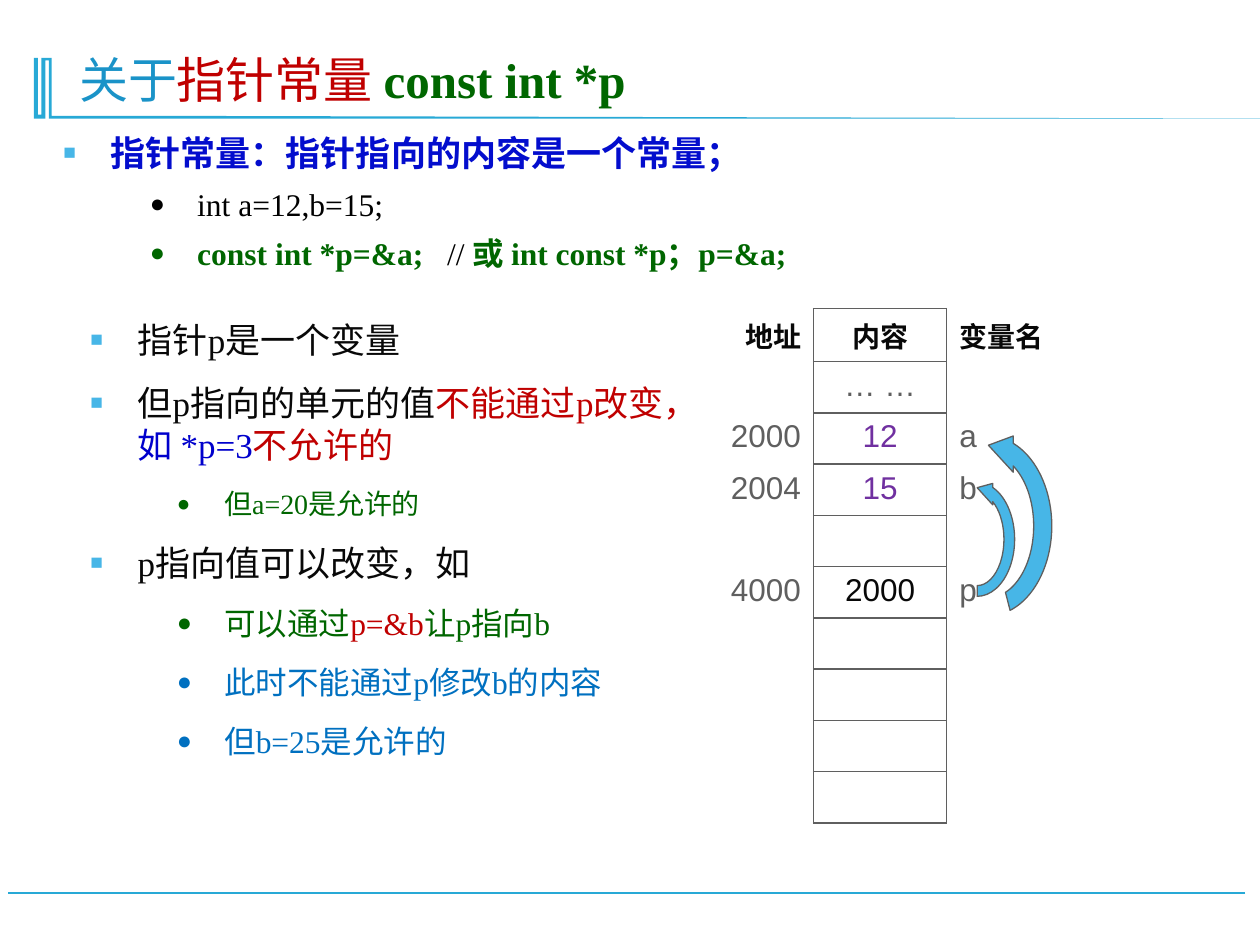
from lxml import etree
from pptx import Presentation
from pptx.dml.color import RGBColor
from pptx.enum.shapes import MSO_CONNECTOR, MSO_SHAPE
from pptx.enum.text import MSO_ANCHOR, MSO_AUTO_SIZE, PP_ALIGN
from pptx.oxml.ns import qn
from pptx.util import Pt

LEFT, CENTER, RIGHT = PP_ALIGN.LEFT, PP_ALIGN.CENTER, PP_ALIGN.RIGHT
TOP, BOTTOM = MSO_ANCHOR.TOP, MSO_ANCHOR.BOTTOM
NO_AUTOFIT = MSO_AUTO_SIZE.NONE
STRAIGHT = MSO_CONNECTOR.STRAIGHT
CIRCULAR_ARROW = MSO_SHAPE.CIRCULAR_ARROW

COLORS = {
    "rule": "28A9D6", "title": "1A93C8", "sky": "47B6E7", "red": "C00000",
    "green": "006600", "royal": "030DCD", "navy": "0000CC", "blue": "0070C0",
    "purple": "7030A0", "grey": "5F5F5F", "ink": "080808", "black": "000000",
}
SERIF, SANS = "Times New Roman", "Arial"
# Bullet by level: left margin, character, size in percent, colour
BULLETS = [(27, "■", 60, "sky"), (76.5, "●", 80, None)]
HANGING = 27


def rgb(name):
    return RGBColor.from_string(COLORS[name])


def sub(parent, tag, **attributes):
    return etree.SubElement(parent, qn(tag), attributes)


def place(shape, box):
    for side, value in zip(("left", "top", "width", "height"), box):
        setattr(shape, side, Pt(value))


def prepare(frame, anchor):
    for name, value in {"word_wrap": True, "auto_size": NO_AUTOFIT,
                        "vertical_anchor": anchor}.items():
        setattr(frame, name, value)


def add_runs(paragraph, runs, size, font=SERIF):
    for text, color, bold in runs:
        run = paragraph.add_run()
        run.text = text
        for name, value in {"name": font, "size": Pt(size), "bold": bold}.items():
            setattr(run.font, name, value)
        run.font.color.rgb = rgb(color)


def add_bullet(paragraph, level):
    margin, char, percent, color = BULLETS[level]
    paragraph.level = level
    props = paragraph._p.get_or_add_pPr()
    props.set("marL", str(Pt(margin)))
    props.set("indent", str(-Pt(HANGING)))
    if color:
        sub(sub(props, "a:buClr"), "a:srgbClr", val=COLORS[color])
    sub(props, "a:buSzPct", val=str(percent * 1000))
    sub(props, "a:buFont", typeface=SANS)
    sub(props, "a:buChar", char=char)


def fill_list(frame, items):
    """Each item: level, size, line spacing, space before, runs."""
    prepare(frame, TOP)
    for i, (level, size, spacing, before, runs) in enumerate(items):
        paragraph = frame.add_paragraph() if i else frame.paragraphs[0]
        add_bullet(paragraph, level)
        for name, value in {"alignment": LEFT, "line_spacing": spacing,
                            "space_before": Pt(before), "space_after": Pt(0)}.items():
            setattr(paragraph, name, value)
        add_runs(paragraph, runs, size)


def add_title_ornament(slide, box):
    """Double bar that runs into a tapering underline."""
    left, top, width, height = box
    points = [(10.1, 0), (10.1, 33.1), (81.4, 33.1), (width, height),
              (8.6, height), (8.6, 1.4), (6.5, 1.4), (6.5, height), (0, height),
              (0, 0), (2.2, 0), (2.2, 32.4), (4.3, 32.4), (4.3, 0)]
    outline = [(Pt(x), Pt(y)) for x, y in points]
    builder = slide.shapes.build_freeform(*outline[0], scale=1.0)
    builder.add_line_segments(outline[1:], close=True)
    ornament = builder.convert_to_shape(Pt(left), Pt(top))
    ornament.shadow.inherit = False
    ornament.fill.solid()
    ornament.fill.fore_color.rgb = rgb("rule")
    ornament.line.fill.background()


def add_footer_rule(slide, box):
    left, top, width, height = box
    rule = slide.shapes.add_connector(
        STRAIGHT, Pt(left + width), Pt(top), Pt(left), Pt(top + height))
    rule.line.color.rgb = rgb("rule")
    rule.line.width = Pt(1.25)
    sub(rule._element.spPr, "a:effectLst")


def fill_title(slide, box):
    title = slide.shapes.title
    place(title, box)
    prepare(title.text_frame, BOTTOM)
    heading = title.text_frame.paragraphs[0]
    heading.alignment = LEFT
    heading.line_spacing = 0.9
    add_runs(heading, [("关于", "title", False), ("指针常量 ", "red", False),
                       ("const int *p", "green", True)], 28)


def fill_definition(slide, box):
    definition = slide.placeholders[1]
    place(definition, box)
    fill_list(definition.text_frame, [
        (0, 20, 0.9, 0, [("指针常量：指针指向的内容是一个常量；", "royal", True)]),
        (1, 18, 1.3, 0, [("int a=12,b=15;", "black", False)]),
        (1, 18, 1.3, 0, [("const int *p=&a;   ", "green", True),
                         ("// ", "black", False),
                         ("或 int const *p；p=&a;", "green", True)]),
    ])


def add_rules_list(slide, box):
    rules = slide.shapes.add_textbox(*map(Pt, box))
    fill_list(rules.text_frame, [
        (0, 20, 1.0, 0, [("指针p是一个变量", "ink", False)]),
        (0, 20, 1.0, 12, [("但p指向的单元的值", "ink", False),
                          ("不能通过p改变，", "red", False),
                          ("如 *p=3", "navy", False),
                          ("不允许的", "red", False)]),
        (1, 16, 1.0, 12, [("但a=20是允许的", "green", False)]),
        (0, 20, 1.0, 12, [("p指向值可以改变，如", "ink", False)]),
        (1, 18, 1.0, 12, [("可以通过", "green", False), ("p=&b", "red", False),
                          ("让p指向b", "green", False)]),
        (1, 18, 1.0, 12, [("此时不能通过p修改b的内容", "blue", False)]),
        (1, 18, 1.0, 12, [("但b=25是允许的", "blue", False)]),
    ])


def set_borders(cell, sides):
    props = cell._tc.get_or_add_tcPr()
    for side in "LRTB":
        border = sub(props, f"a:ln{side}", w=str(Pt(1)))
        if side in sides:
            sub(sub(border, "a:solidFill"), "a:srgbClr", val=COLORS["grey"])
        else:
            sub(border, "a:noFill")


def add_memory_table(slide, box):
    """Address, content and variable name of each memory cell."""
    memory = [("地址", "内容", "变量名"), ("", "… …", ""), ("2000", "12", "a"),
              ("2004", "15", "b"), ("", "", ""), ("4000", "2000", "p")]
    memory += [("", "", "")] * 4
    content_colors = {"12": "purple", "15": "purple", "2000": "ink"}
    columns = [(RIGHT, "R"), (CENTER, "LRTB"), (LEFT, "L")]
    table = slide.shapes.add_table(len(memory), len(columns), *map(Pt, box)).table
    table.first_row = table.horz_banding = False
    for r, row in enumerate(memory):
        for c, (text, (align, sides)) in enumerate(zip(row, columns)):
            cell = table.cell(r, c)
            set_borders(cell, sides)
            cell.fill.background()
            paragraph = cell.text_frame.paragraphs[0]
            paragraph.alignment = align
            header = r == 0
            color = content_colors.get(text, "grey") if c == 1 else "grey"
            if text:
                add_runs(paragraph, [(text, "ink" if header else color, header)],
                         16 if header else 18, SANS)


def add_pointer_arrow(slide, box, start_angle):
    """Curved arrow from p up to the variable it points to."""
    arrow = slide.shapes.add_shape(CIRCULAR_ARROW, *map(Pt, box))
    arrow.adjustments[3] = start_angle
    arrow.rotation = 270
    arrow._element.spPr.xfrm.set("flipV", "1")
    arrow.shadow.inherit = False
    arrow.fill.solid()
    arrow.fill.fore_color.rgb = rgb("sky")
    arrow.line.color.rgb = rgb("grey")
    arrow.line.width = Pt(0.75)


def main():
    prs = Presentation()
    prs.slide_width, prs.slide_height = Pt(720), Pt(540)
    slide = prs.slides.add_slide(prs.slide_layouts[1])
    add_footer_rule(slide, (4.5, 510.5, 707, 0))
    add_title_ornament(slide, (19.4, 33.1, 707, 34.6))
    fill_title(slide, (38, 20, 637, 46))
    fill_definition(slide, (29, 74, 657, 94))
    add_memory_table(slide, (388.8, 176.4, 228.3, 293))
    add_pointer_arrow(slide, (522.7, 283.7, 71.3, 49), 108)
    add_rules_list(slide, (44.6, 178.6, 344, 266.4))
    add_pointer_arrow(slide, (508.3, 259.2, 113, 82.8), 116.65)
    prs.save("out.pptx")


if __name__ == "__main__":
    main()
